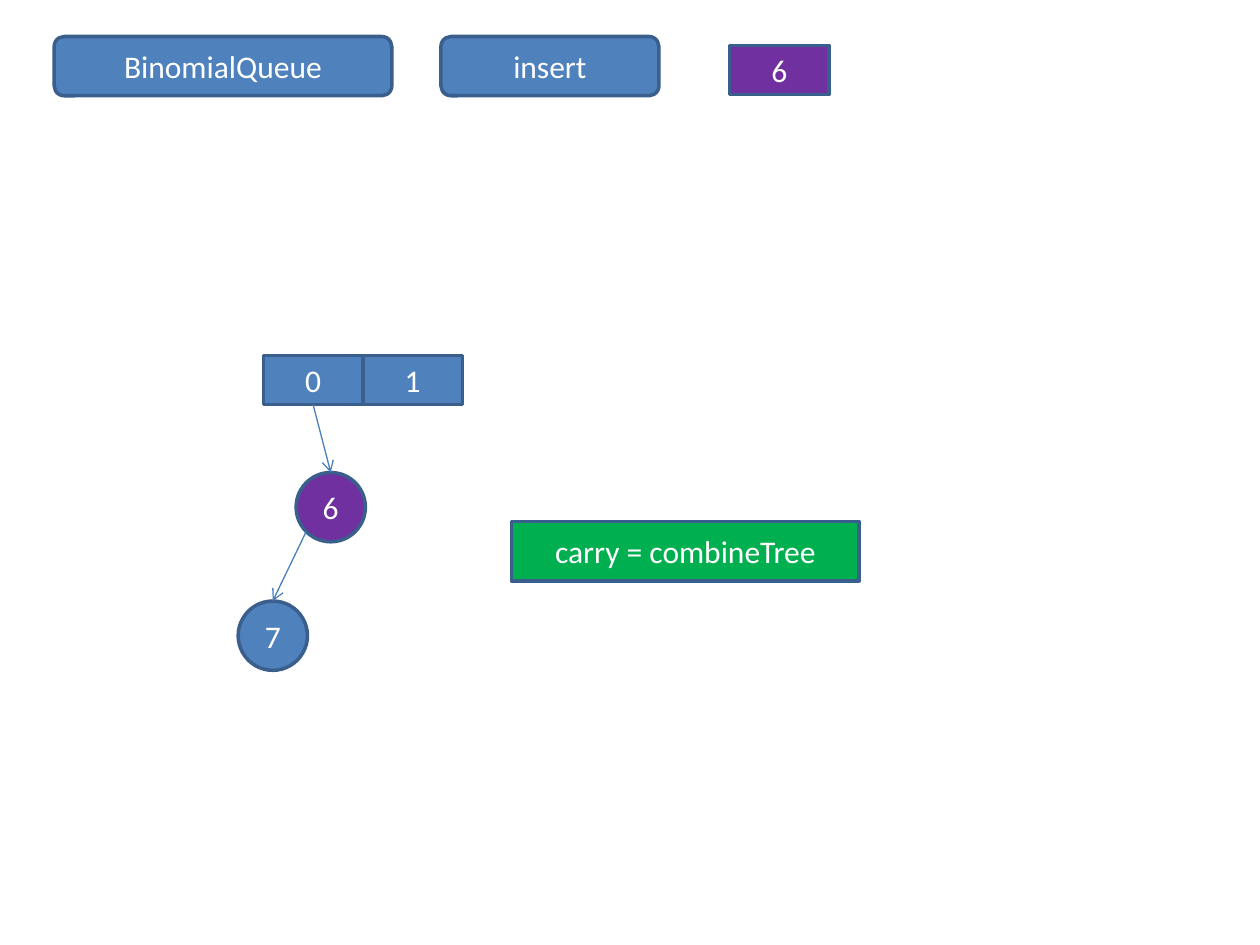
from pptx import Presentation
from pptx import util as u
from pptx.dml.color import RGBColor
from pptx.enum import shapes, text
from pptx.oxml.ns import qn
from lxml import etree

BLUE = RGBColor(0x4F, 0x81, 0xBD)
OUTLINE = RGBColor(0x3A, 0x5F, 0x8C)
ARROW = RGBColor(0x4B, 0x7E, 0xBC)
PURPLE = RGBColor(0x70, 0x30, 0xA0)
GREEN = RGBColor(0x00, 0xB0, 0x50)
WHITE = RGBColor(0xFF, 0xFF, 0xFF)

RECT = shapes.MSO_SHAPE.RECTANGLE
ROUNDED = shapes.MSO_SHAPE.ROUNDED_RECTANGLE
OVAL = shapes.MSO_SHAPE.OVAL

LABEL_HEIGHT = 0.47
CELL_WIDTH, CELL_HEIGHT = 0.79, 0.39
NODE_SIZE = 0.55


def add_box(slide, kind, label, left, top, width, height, fill=BLUE):
    """Outlined shape with a centred white label."""
    box = slide.shapes.add_shape(
        kind, u.Inches(left), u.Inches(top), u.Inches(width), u.Inches(height))
    box.shadow.inherit = False
    box.fill.solid()
    box.fill.fore_color.rgb = fill
    box.line.color.rgb = OUTLINE
    box.line.width = u.Pt(2)
    frame = box.text_frame
    frame.text = label
    frame.word_wrap = True
    frame.vertical_anchor = text.MSO_ANCHOR.MIDDLE
    para = frame.paragraphs[0]
    para.alignment = text.PP_ALIGN.CENTER
    span = para.runs[0]
    span.font.name = "Calibri"
    span.font.size = u.Pt(18)
    span.font.color.rgb = WHITE
    return box


def add_cell(slide, label, left, top, fill=BLUE):
    return add_box(slide, RECT, label, left, top, CELL_WIDTH, CELL_HEIGHT, fill)


def add_node(slide, label, left, top, fill=BLUE):
    return add_box(slide, OVAL, label, left, top, NODE_SIZE, NODE_SIZE, fill)


def add_arrow(slide, start, target):
    """Thin arrow from a point to the top of the target shape."""
    arrow = slide.shapes.add_connector(
        shapes.MSO_CONNECTOR.STRAIGHT, *start, *start)
    arrow.end_connect(target, 0)
    arrow.line.color.rgb = ARROW
    arrow.line.width = u.Pt(0.75)
    etree.SubElement(arrow.line._get_or_add_ln(), qn("a:tailEnd"), type="arrow")
    etree.SubElement(arrow._element.spPr, qn("a:effectLst"))
    return arrow


def main():
    deck = Presentation()
    deck.slide_width, deck.slide_height = u.Inches(10), u.Inches(7.5)
    page = deck.slides.add_slide(deck.slide_layouts[6])

    # Operation being shown
    add_box(page, ROUNDED, "BinomialQueue", 0.43, 0.29, 2.68, LABEL_HEIGHT)
    add_box(page, ROUNDED, "insert", 3.5, 0.29, 1.73, LABEL_HEIGHT)
    add_cell(page, "6", 5.79, 0.36, PURPLE)

    # Queue slots
    slots = [add_cell(page, str(index), 2.09 + index * CELL_WIDTH, 2.82)
             for index in range(2)]

    # Binomial tree under slot 0
    root = add_node(page, "6", 2.35, 3.75, PURPLE)
    child = add_node(page, "7", 1.89, 4.77)
    slot_arrow = add_arrow(page, (u.Inches(2.48), u.Inches(3.21)), root)
    slot_arrow.begin_connect(slots[0], 2)
    add_arrow(page, (u.Inches(2.43), u.Inches(4.22)), child)

    # Current step
    add_box(page, RECT, "carry = combineTree", 4.06, 4.14, 2.76, LABEL_HEIGHT, GREEN)

    deck.save("out.pptx")


if __name__ == "__main__":
    main()
